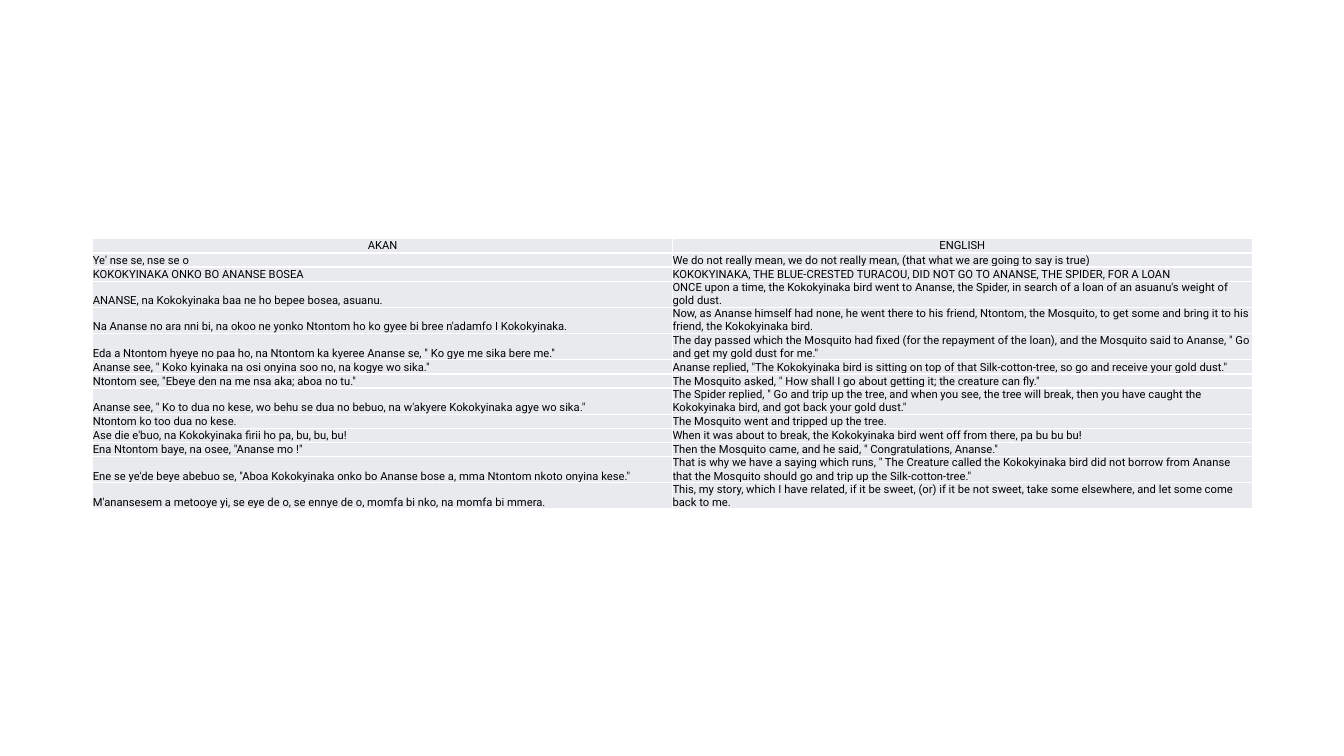
from dataclasses import dataclass

from lxml import etree
from pptx import Presentation
from pptx.dml.color import RGBColor
from pptx.enum.text import MSO_ANCHOR, PP_ALIGN
from pptx.oxml.ns import qn
from pptx.util import Inches, Pt

TOP, BOTTOM = MSO_ANCHOR.TOP, MSO_ANCHOR.BOTTOM
LEFT, CENTER = PP_ALIGN.LEFT, PP_ALIGN.CENTER
BLANK_LAYOUT = 6


@dataclass(frozen=True)
class Theme:
    font: str = "Roboto"
    size: int = 8
    text: str = "000000"
    cell: str = "E8EAED"
    border: str = "FFFFFF"
    border_width: int = 1


THEME = Theme()
COLUMN_WIDTH = 5.75
ONE_LINE, TWO_LINES = 0.14, 0.26
CHARS_PER_LINE = 118

STORY = [
    ("AKAN", "ENGLISH"),
    ("Ye' nse se, nse se o",
     "We do not really mean, we do not really mean, (that what we are going to say is true)"),
    ("KOKOKYINAKA ONKO BO ANANSE BOSEA",
     "KOKOKYINAKA, THE BLUE-CRESTED TURACOU, DID NOT GO TO ANANSE, THE SPIDER, FOR A LOAN"),
    ("ANANSE, na Kokokyinaka baa ne ho bepee bosea, asuanu.",
     "ONCE upon a time, the Kokokyinaka bird went to Ananse, the Spider, "
     "in search of a loan of an asuanu's weight of gold dust."),
    ("Na Ananse no ara nni bi, na okoo ne yonko Ntontom ho ko gyee bi bree n'adamfo I Kokokyinaka.",
     "Now, as Ananse himself had none, he went there to his friend, Ntontom, the Mosquito, "
     "to get some and bring it to his friend, the Kokokyinaka bird."),
    ('Eda a Ntontom hyeye no paa ho, na Ntontom ka kyeree Ananse se, " Ko gye me sika bere me."',
     "The day passed which the Mosquito had fixed (for the repayment of the loan), "
     'and the Mosquito said to Ananse, " Go and get my gold dust for me."'),
    ('Ananse see, " Koko kyinaka na osi onyina soo no, na kogye wo sika."',
     'Ananse replied, "The Kokokyinaka bird is sitting on top of that Silk-cotton-tree, '
     'so go and receive your gold dust."'),
    ('Ntontom see, "Ebeye den na me nsa aka; aboa no tu."',
     'The Mosquito asked, " How shall I go about getting it; the creature can fly."'),
    ('Ananse see, " Ko to dua no kese, wo behu se dua no bebuo, '
     'na w\'akyere Kokokyinaka agye wo sika."',
     'The Spider replied, " Go and trip up the tree, and when you see, the tree will break, '
     'then you have caught the Kokokyinaka bird, and got back your gold dust."'),
    ("Ntontom ko too dua no kese.",
     "The Mosquito went and tripped up the tree."),
    ("Ase die e'buo, na Kokokyinaka firii ho pa, bu, bu, bu!",
     "When it was about to break, the Kokokyinaka bird went off from there, pa bu bu bu!"),
    ('Ena Ntontom baye, na osee, "Ananse mo !"',
     'Then the Mosquito came, and he said, " Congratulations, Ananse."'),
    ('Ene se ye\'de beye abebuo se, "Aboa Kokokyinaka onko bo Ananse bose a, '
     'mma Ntontom nkoto onyina kese."',
     'That is why we have a saying which runs, " The Creature called the Kokokyinaka bird '
     'did not borrow from Ananse that the Mosquito should go and trip up the Silk-cotton-tree."'),
    ("M'anansesem a metooye yi, se eye de o, se ennye de o, momfa bi nko, na momfa bi mmera.",
     "This, my story, which I have related, if it be sweet, (or) if it be not sweet, "
     "take some elsewhere, and let some come back to me."),
]


def set_borders(cell):
    tcPr = cell._tc.get_or_add_tcPr()
    for i, side in enumerate(("lnL", "lnR", "lnT", "lnB")):
        ln = etree.Element(qn(f"a:{side}"), w=str(Pt(THEME.border_width)))
        fill = etree.SubElement(ln, qn("a:solidFill"))
        etree.SubElement(fill, qn("a:srgbClr"), val=THEME.border)
        tcPr.insert(i, ln)


def fill_cell(cell, text, anchor, align):
    cell.fill.solid()
    cell.fill.fore_color.rgb = RGBColor.from_string(THEME.cell)
    set_borders(cell)
    cell.vertical_anchor = anchor
    for side in ("left", "right", "top", "bottom"):
        setattr(cell, f"margin_{side}", 0)
    p = cell.text_frame.paragraphs[0]
    p.alignment = align
    r = p.add_run()
    r.text = text
    for name, value in {"name": THEME.font, "size": Pt(THEME.size), "bold": False}.items():
        setattr(r.font, name, value)
    r.font.color.rgb = RGBColor.from_string(THEME.text)


prs = Presentation()
prs.slide_width, prs.slide_height = Inches(13.33), Inches(7.5)
s = prs.slides.add_slide(prs.slide_layouts[BLANK_LAYOUT])

heights = [TWO_LINES if len(english) > CHARS_PER_LINE else ONE_LINE for _, english in STORY]
table = s.shapes.add_table(
    len(STORY), 2, Inches(0.92), Inches(2.37),
    Inches(2 * COLUMN_WIDTH), Inches(sum(heights))).table

for column in table.columns:
    column.width = Inches(COLUMN_WIDTH)

for i, (row, texts, height) in enumerate(zip(table.rows, STORY, heights)):
    row.height = Inches(height)
    anchor, align = (TOP, CENTER) if i == 0 else (BOTTOM, LEFT)
    for cell, text in zip(row.cells, texts):
        fill_cell(cell, text, anchor, align)

prs.save("out.pptx")
